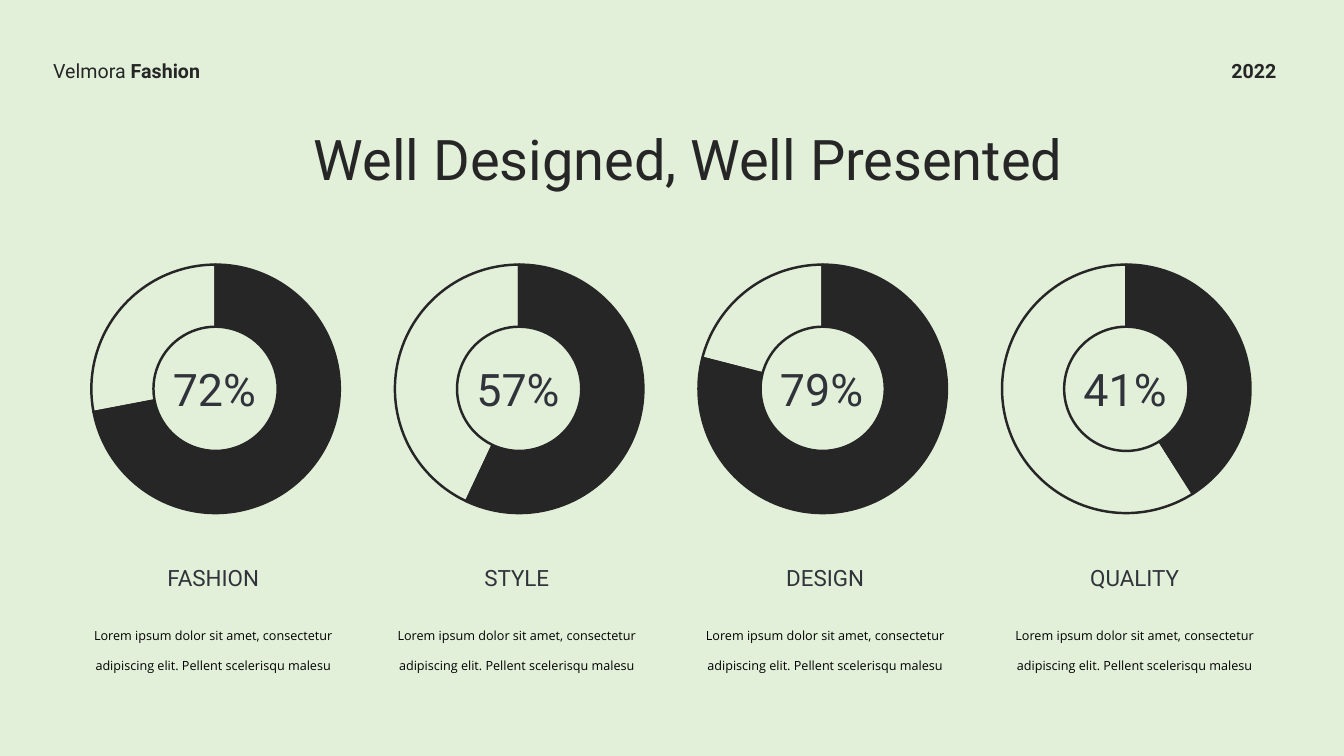
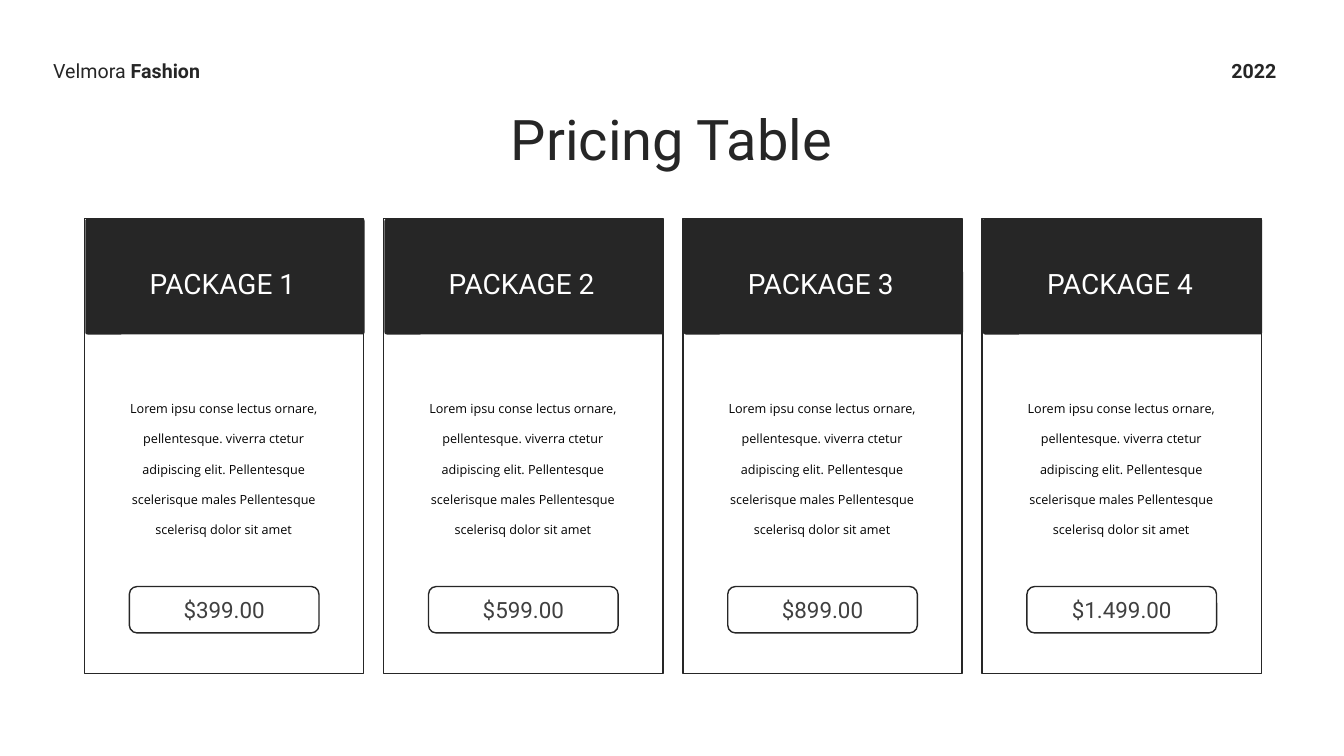
import pptx
import pptx.chart.data
import pptx.dml.color
import pptx.enum.chart
import pptx.enum.shapes
import pptx.enum.text
import pptx.oxml
import pptx.oxml.ns
import pptx.util

Cm = pptx.util.Cm
Pt = pptx.util.Pt
Shapes = pptx.enum.shapes.MSO_SHAPE
Align = pptx.enum.text.PP_ALIGN
Anchor = pptx.enum.text.MSO_ANCHOR

# Shared look
INK = "262626"
SLATE = "31333A"
GREY = "404040"
BLACK = "000000"
WHITE = "FFFFFF"
MINT = "E2F0D9"
HEADING_FONT = "Roboto"
BODY_FONT = "Open Sans"

# Content
RATINGS = [("FASHION", 72), ("STYLE", 57), ("DESIGN", 79), ("QUALITY", 41)]
RATING_TEXT = ("Lorem ipsum dolor sit amet, consectetur adipiscing elit. "
               "Pellent scelerisqu malesu")
PRICES = ["$399.00", "$599.00", "$899.00", "$1.499.00"]
PACKAGE_TEXT = ("Lorem ipsu conse lectus ornare, pellentesque. viverra ctetur "
                "adipiscing elit. Pellentesque scelerisque males Pellentesque "
                "scelerisq dolor sit amet")


def color(hex_value):
    return pptx.dml.color.RGBColor.from_string(hex_value)


def place(shape, left, top, width, height):
    shape.left, shape.top = Cm(left), Cm(top)
    shape.width, shape.height = Cm(width), Cm(height)


def style(paragraph, size, hex_value, font=HEADING_FONT, align=Align.CENTER):
    paragraph.alignment = align
    paragraph.font.name = font
    paragraph.font.size = Pt(size)
    paragraph.font.color.rgb = color(hex_value)


def add_text(slide, box, text, size, hex_value, font=HEADING_FONT, spacing=None):
    shape = slide.shapes.add_textbox(*map(Cm, box))
    shape.text_frame.word_wrap = True
    paragraph = shape.text_frame.paragraphs[0]
    paragraph.text = text
    style(paragraph, size, hex_value, font)
    if spacing:
        paragraph.line_spacing = spacing


def add_header_text(slide, box, runs):
    """Add one unwrapped line made of (text, bold) runs."""
    shape = slide.shapes.add_textbox(*map(Cm, box))
    shape.text_frame.word_wrap = False
    paragraph = shape.text_frame.paragraphs[0]
    style(paragraph, 14, INK, align=Align.LEFT)
    for text, bold in runs:
        run = paragraph.add_run()
        run.text = text
        run.font.bold = bold


def add_box(slide, kind, box, fill, line=None):
    shape = slide.shapes.add_shape(kind, *map(Cm, box))
    shape.shadow.inherit = False
    shape.fill.solid()
    shape.fill.fore_color.rgb = color(fill)
    if line:
        shape.line.color.rgb = color(line)
        shape.line.width = Pt(1)
    else:
        shape.line.fill.background()
    return shape


def add_titled_slide(presentation, title, title_box, background):
    slide = presentation.slides.add_slide(presentation.slide_layouts[5])
    slide.background.fill.solid()
    slide.background.fill.fore_color.rgb = color(background)

    place(slide.shapes.title, *title_box)
    frame = slide.shapes.title.text_frame
    frame.text = title
    frame.word_wrap = True
    frame.auto_size = pptx.enum.text.MSO_AUTO_SIZE.NONE
    frame.vertical_anchor = Anchor.TOP
    style(frame.paragraphs[0], 40, INK)

    add_header_text(slide, (1.09, 1.35, 4.65, 0.86),
                    [("Velmora ", False), ("Fashion", True)])
    add_header_text(slide, (30.78, 1.35, 1.73, 0.86), [("2022", True)])
    return slide


def set_ring_geometry(chart, hole, share):
    """Set the hole size and centre the plot on a share of the chart area."""
    chart_space = chart._chartSpace
    for hole_size in chart_space.xpath("//c:holeSize"):
        hole_size.set("val", str(hole))
    plot_area = chart_space.xpath("c:chart/c:plotArea")[0]
    for layout in plot_area.xpath("c:layout"):
        plot_area.remove(layout)
    margin = round((1 - share) / 2, 3)
    plot_area.insert(0, pptx.oxml.parse_xml(
        f'<c:layout {pptx.oxml.ns.nsdecls("c")}><c:manualLayout>'
        '<c:layoutTarget val="inner"/><c:xMode val="edge"/><c:yMode val="edge"/>'
        f'<c:x val="{margin}"/><c:y val="{margin}"/>'
        f'<c:w val="{share}"/><c:h val="{share}"/>'
        '</c:manualLayout></c:layout>'))


def add_ring(slide, box, percent):
    data = pptx.chart.data.CategoryChartData()
    data.categories = ["1", "2"]
    data.add_series("Series 1", (percent, 100 - percent))
    chart = slide.shapes.add_chart(
        pptx.enum.chart.XL_CHART_TYPE.DOUGHNUT, *map(Cm, box), data).chart
    chart.has_legend = False
    chart.has_title = False
    chart.font.name = "Calibri"
    chart.font.size = Pt(10)
    chart.font.color.rgb = color(BLACK)
    plot = chart.plots[0]
    plot.vary_by_categories = False
    points = plot.series[0].points
    points[0].format.fill.solid()
    points[0].format.fill.fore_color.rgb = color(INK)
    points[1].format.fill.background()
    for index in range(2):
        points[index].format.line.color.rgb = color(INK)
        points[index].format.line.width = Pt(1.75)
    set_ring_geometry(chart, 70, 0.9)


def add_rating(slide, ring_left, caption_left, label, percent):
    add_ring(slide, (ring_left, 6.32, 7.01, 6.96), percent)
    add_text(slide, (ring_left + 2.04, 8.99, 2.87, 1.63),
             f"{percent}%", 32, SLATE)
    add_text(slide, (caption_left + 0.84, 14.1, 5.21, 0.94), label, 16, SLATE)
    add_text(slide, (caption_left, 15.32, 6.88, 1.68),
             RATING_TEXT, 9, BLACK, BODY_FONT, 2)


def add_package(slide, left, name, price):
    add_box(slide, Shapes.RECTANGLE, (left, 5.51, 7.04, 11.46), WHITE, INK)
    band = add_box(slide, Shapes.ROUNDED_RECTANGLE,
                   (left + 0.02, 5.51, 7.04, 2.92), INK)
    band.adjustments[0] = 0.02
    add_text(slide, (left + 0.82, 6.6, 5.31, 1.12), name, 20, WHITE)
    add_text(slide, (left + 0.85, 9.6, 5.31, 3.99),
             PACKAGE_TEXT, 9, BLACK, BODY_FONT, 2)

    button = add_box(slide, Shapes.ROUNDED_RECTANGLE,
                     (left + 1.13, 14.78, 4.78, 1.17), WHITE, INK)
    frame = button.text_frame
    frame.vertical_anchor = Anchor.MIDDLE
    frame.paragraphs[0].text = price
    style(frame.paragraphs[0], 16, GREY)


def add_ratings_slide(presentation):
    slide = add_titled_slide(presentation, "Well Designed, Well Presented",
                             (6.6, 3.02, 21.49, 1.96), MINT)
    caption_lefts = [1.93, 9.58, 17.35, 25.15]
    for index, (label, percent) in enumerate(RATINGS):
        add_rating(slide, 1.93 + index * 7.65, caption_lefts[index],
                   label, percent)


def add_pricing_slide(presentation):
    slide = add_titled_slide(presentation, "Pricing Table",
                             (5.28, 2.51, 23.29, 1.96), WHITE)
    for index, price in enumerate(PRICES):
        add_package(slide, 2.13 + index * 7.54, f"PACKAGE {index + 1}", price)


def main():
    presentation = pptx.Presentation()
    presentation.slide_width = Cm(33.87)
    presentation.slide_height = Cm(19.05)
    add_ratings_slide(presentation)
    add_pricing_slide(presentation)
    presentation.save("out.pptx")


if __name__ == "__main__":
    main()
